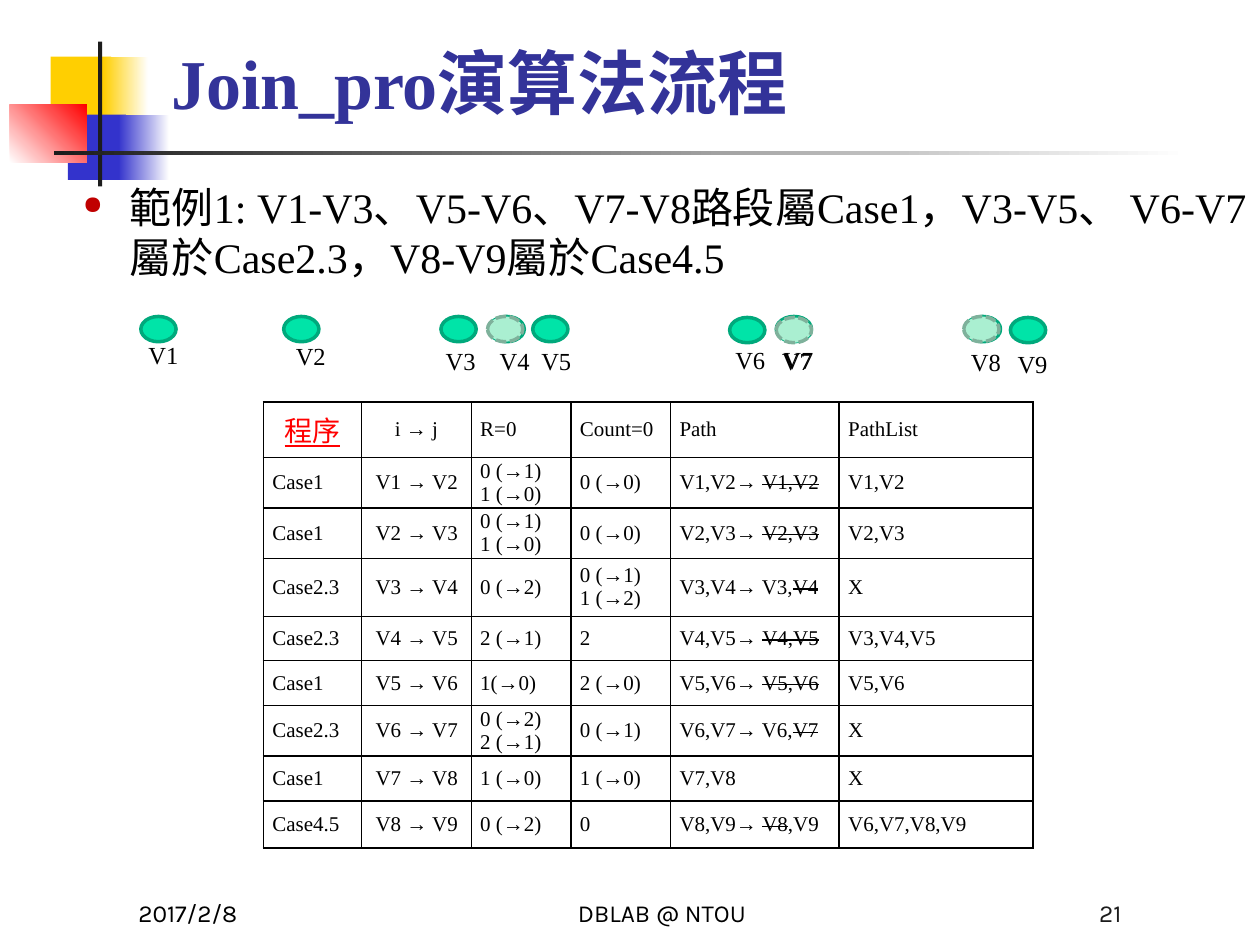
from lxml import etree
from pptx import Presentation
from pptx.dml.color import RGBColor
from pptx.enum.dml import MSO_LINE
from pptx.enum.shapes import MSO_SHAPE
from pptx.enum.text import MSO_ANCHOR, PP_ALIGN
from pptx.oxml import parse_xml
from pptx.oxml.ns import nsdecls, qn
from pptx.util import Cm, Pt

RECT, OVAL = MSO_SHAPE.RECTANGLE, MSO_SHAPE.OVAL
LEFT, MID, RIGHT = PP_ALIGN.LEFT, PP_ALIGN.CENTER, PP_ALIGN.RIGHT
TOP, CENTER, BASE = MSO_ANCHOR.TOP, MSO_ANCHOR.MIDDLE, MSO_ANCHOR.BOTTOM
DASH = MSO_LINE.SQUARE_DOT

SERIF, SANS = "Times New Roman", "Karla"
BLACK = RGBColor(0x00, 0x00, 0x00)
WHITE = RGBColor(0xFF, 0xFF, 0xFF)
INK = RGBColor(0x1C, 0x1C, 0x1C)
GOLD = RGBColor(0xFF, 0xCF, 0x01)
BLUE = RGBColor(0x33, 0x33, 0xCC)
RED = RGBColor(0xFF, 0x00, 0x00)
NAVY = RGBColor(0x33, 0x33, 0x99)
GREEN = RGBColor(0x00, 0xE4, 0xA8)
RIM = RGBColor(0x00, 0xA9, 0x7C)
PALE = RGBColor(0xAA, 0xEF, 0xD1)
PALE_RIM = RGBColor(0x7E, 0xB1, 0x9B)

# left, top, width, height, colours, angle
DECOR = [
    (1.02, 1.14, 1.22, 1.32, [GOLD], 0),
    (2.08, 1.14, 0.91, 1.32, [GOLD, WHITE], 0),
    (1.37, 2.31, 1.17, 1.32, [BLUE], 0),
    (2.39, 2.31, 1.02, 1.32, [BLUE, WHITE], 0),
    (0.2, 2.11, 1.55, 1.17, [WHITE, RED], 45),
    (1.98, 0.84, 0.08, 2.92, [INK], 0),
    (1.09, 3.05, 22.86, 0.08, [INK, WHITE], 0),
]

# name, oval left, oval top, label left, label top
NODES = [
    ("V1", 2.84, 6.38, 2.62, 6.73),
    ("V2", 5.72, 6.38, 5.59, 6.76),
    ("V3", 8.89, 6.38, 8.61, 6.86),
    ("", 9.86, 6.38, 0, 0),
    ("V5", 10.74, 6.38, 10.54, 6.86),
    ("V7", 15.65, 6.38, 15.42, 6.83),
    ("V6", 14.71, 6.4, 14.45, 6.83),
    ("", 19.46, 6.38, 0, 0),
    ("V9", 20.37, 6.4, 20.14, 6.91),
]
GHOSTS = [
    ("V4", 9.83, 6.38, 9.7, 6.86),
    ("V7", 15.65, 6.4, 15.39, 6.86),
    ("V8", 19.43, 6.38, 19.2, 6.88),
]

COLS = [1.98, 2.21, 2.01, 2.01, 3.4, 3.91]
TALL = [1.12, 0.94, 0.91, 1.17, 0.89, 0.91, 0.91, 0.91, 0.94]
# Text between tildes is struck out
ROWS = [
    ["程序", "i → j", "R=0", "Count=0", "Path", "PathList"],
    ["Case1", "V1 → V2", "0 (→1)\n1 (→0)", "0 (→0)", "V1,V2→ ~V1,V2~", "V1,V2"],
    ["Case1", "V2 → V3", "0 (→1)\n1 (→0)", "0 (→0)", "V2,V3→ ~V2,V3~", "V2,V3"],
    ["Case2.3", "V3 → V4", "0 (→2)", "0 (→1)\n1 (→2)", "V3,V4→ V3,~V4~", "X"],
    ["Case2.3", "V4 → V5", "2 (→1)", "2", "V4,V5→ ~V4,V5~", "V3,V4,V5"],
    ["Case1", "V5 → V6", "1(→0)", "2 (→0)", "V5,V6→ ~V5,V6~", "V5,V6"],
    ["Case2.3", "V6 → V7", "0 (→2)\n2 (→1)", "0 (→1)", "V6,V7→ V6,~V7~", "X"],
    ["Case1", "V7 → V8", "1 (→0)", "1 (→0)", "V7,V8", "X"],
    ["Case4.5", "V8 → V9", "0 (→2)", "0", "V8,V9→ ~V8~,V9", "V6,V7,V8,V9"],
]


def style(para, size, color=BLACK, face=SERIF, align=LEFT):
    para.alignment = align
    font = para.font
    font.size, font.name, font.color.rgb = Pt(size), face, color
    return font


def add_text(shapes, box, text, size, color=BLACK, face=SERIF,
             align=LEFT, anchor=TOP):
    frame = shapes.add_textbox(*map(Cm, box)).text_frame
    frame.word_wrap = True
    frame.vertical_anchor = anchor
    para = frame.paragraphs[0]
    para.text = text
    style(para, size, color, face, align)
    return para


def add_decor(shapes, box, colors, angle):
    """Add a bar filled with one colour, or with a blend of two."""
    bar = shapes.add_shape(RECT, *map(Cm, box))
    bar.shadow.inherit = False
    bar.line.fill.background()
    if len(colors) == 1:
        bar.fill.solid()
        bar.fill.fore_color.rgb = colors[0]
        return
    bar.fill.gradient()
    bar.fill.gradient_angle = angle
    for stop, color in zip(bar.fill.gradient_stops, colors):
        stop.color.rgb = color


def add_node(shapes, node, fill, rim, dash=None):
    name, left, top, tag_left, tag_top = node
    group = shapes.add_group_shape().shapes
    oval = group.add_shape(OVAL, *map(Cm, (left, top, 0.71, 0.51)))
    oval.shadow.inherit = False
    oval.fill.solid()
    oval.fill.fore_color.rgb = fill
    oval.line.color.rgb = rim
    oval.line.width = Pt(2)
    if dash:
        oval.line.dash_style = dash
    if name:
        add_text(group, (tag_left, tag_top, 1.35, 0.89), name, 14, align=MID)


def add_bullet(para):
    props = para._p.get_or_add_pPr()
    props.set("marL", str(Cm(0.95)))
    props.set("indent", str(-Cm(0.95)))
    color = etree.SubElement(props, qn("a:buClr"))
    etree.SubElement(color, qn("a:srgbClr"), val="C00000")
    etree.SubElement(props, qn("a:buSzPct"), val="60000")
    etree.SubElement(props, qn("a:buChar"), char="●")


def add_edges(cell):
    props = cell._tc.get_or_add_tcPr()
    for side in "LRTB":
        props.append(parse_xml(
            f'<a:ln{side} {nsdecls("a")} w="12700"><a:solidFill>'
            f'<a:srgbClr val="000000"/></a:solidFill></a:ln{side}>'))


def fill_cell(cell, text, head, col):
    add_edges(cell)
    cell.fill.background()
    cell.vertical_anchor = CENTER
    cell.margin_left = Cm(0.28 if col == 1 and not head else 0.18)
    cell.margin_right = Cm(0.18)
    cell.margin_top = cell.margin_bottom = 0
    frame = cell.text_frame
    for i, line in enumerate(text.split("\n")):
        para = frame.add_paragraph() if i else frame.paragraphs[0]
        for j, part in enumerate(line.split("~")):
            if part:
                run = para.add_run()
                run.text = part
                if j % 2:
                    run._r.get_or_add_rPr().set("strike", "sngStrike")
        style(para, 12, align=MID if head and col < 2 else LEFT)


def add_grid(shapes):
    grid = shapes.add_table(len(ROWS), len(COLS), Cm(5.31), Cm(8.1),
                            Cm(sum(COLS)), Cm(sum(TALL))).table
    grid.first_row = grid.horz_banding = False
    for col, width in zip(grid.columns, COLS):
        col.width = Cm(width)
    for r, (tall, texts) in enumerate(zip(TALL, ROWS)):
        grid.rows[r].height = Cm(tall)
        for c, text in enumerate(texts):
            fill_cell(grid.cell(r, c), text, r == 0, c)
    corner = grid.cell(0, 0).text_frame.paragraphs[0]
    style(corner, 16, RED, align=MID).underline = True


def main():
    deck = Presentation()
    deck.slide_width, deck.slide_height = Cm(25.4), Cm(19.05)
    shapes = deck.slides.add_slide(deck.slide_layouts[6]).shapes
    for *box, colors, angle in DECOR:
        add_decor(shapes, box, colors, angle)
    title = add_text(shapes, (3.2, 0.43, 21.64, 2.18), "Join_pro演算法流程",
                     40, NAVY, anchor=BASE)
    title.font.bold = True
    body = add_text(
        shapes, (1.42, 3.53, 23.98, 14.6),
        "範例1: V1-V3、V5-V6、V7-V8路段屬Case1，V3-V5、 "
        "V6-V7屬於Case2.3，V8-V9屬於Case4.5", 24)
    add_bullet(body)
    for left, width, text, color, align in [
            (2.54, 5.28, "2017/2/8", BLACK, LEFT),
            (9.32, 8.05, "DBLAB @ NTOU", BLACK, MID),
            (17.58, 5.28, "21", INK, RIGHT)]:
        add_text(shapes, (left, 17.55, width, 1.27), text, 14, color,
                 SANS, align, BASE)
    for node in NODES:
        add_node(shapes, node, GREEN, RIM)
    add_grid(shapes)
    for node in GHOSTS:
        add_node(shapes, node, PALE, PALE_RIM, DASH)
    deck.save("out.pptx")


if __name__ == "__main__":
    main()
